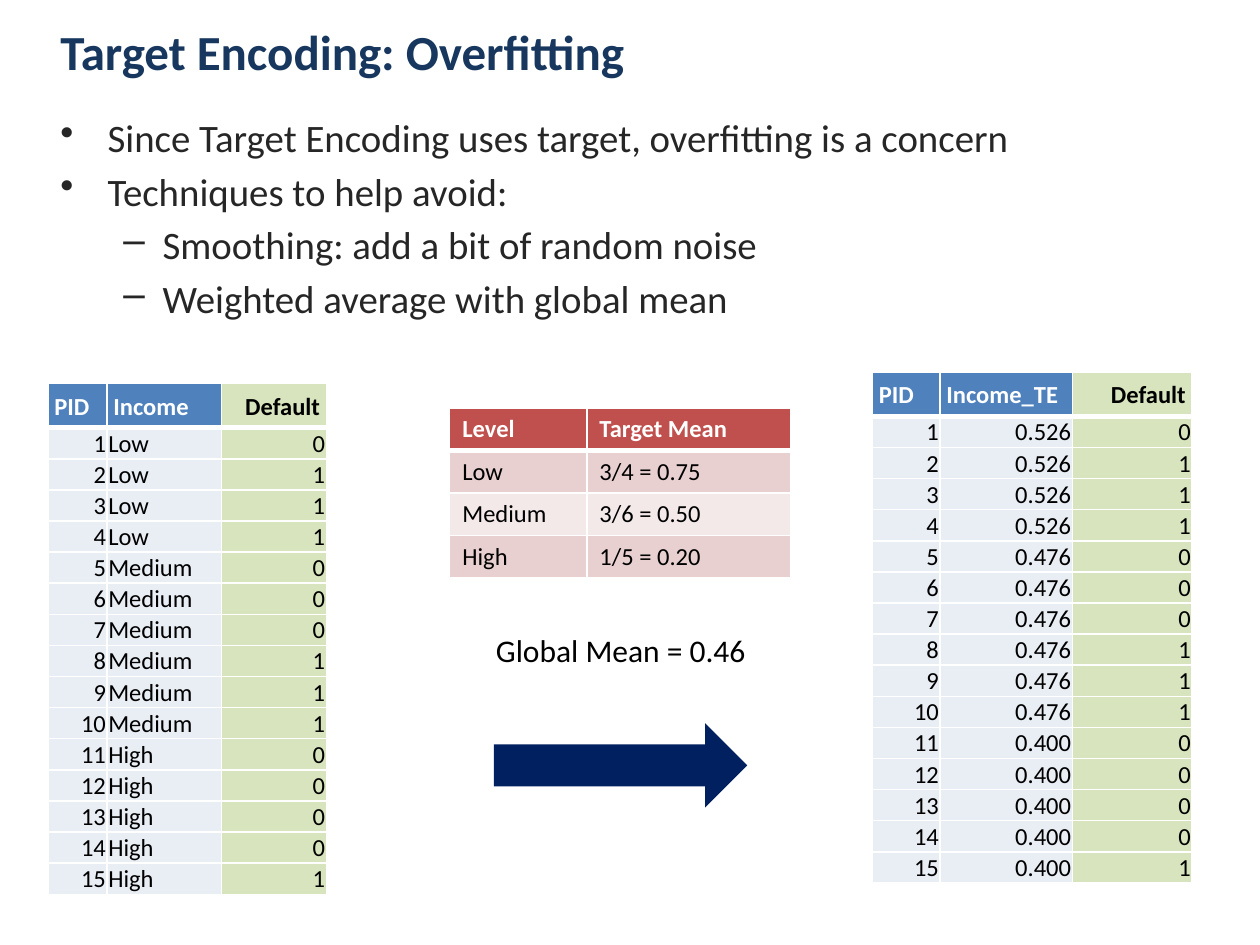
from lxml.etree import SubElement
from pptx import Presentation
from pptx.dml.color import RGBColor
from pptx.enum.shapes import MSO_SHAPE
from pptx.enum.text import MSO_ANCHOR, PP_ALIGN
from pptx.oxml import parse_xml
from pptx.oxml.ns import nsdecls, qn
from pptx.util import Pt

THEME = {
    "font": "Calibri",
    "title": "17375E", "body": "262626", "white": "FFFFFF", "black": "000000",
    "blue": "4F81BD", "pale_blue": "E9EDF4", "green": "D7E4BD",
    "red": "C0504D", "pale_red": "E8D0D0", "paler_red": "F4E9E9", "arrow": "002060",
    "title_size": 28, "body_size": 22.2, "note_size": 18, "table_size": 14,
}
LEFT, RIGHT = PP_ALIGN.LEFT, PP_ALIGN.RIGHT


def write(paragraph, text, size, color, bold=False, **formats):
    """Put one formatted run of text in a paragraph."""
    for name, value in formats.items():
        setattr(paragraph, name, value)
    run = paragraph.add_run()
    run.text = text
    font_formats = {"name": THEME["font"], "size": Pt(THEME[size]), "bold": bold}
    for name, value in font_formats.items():
        setattr(run.font, name, value)
    run.font.color.rgb = RGBColor.from_string(THEME[color])


def add_grid(slide, left, top, widths, heights, rows, style):
    """Add a table; style(row, column) gives fill, text colour, margins and paragraph formats."""
    frame = slide.shapes.add_table(len(rows), len(widths), Pt(left), Pt(top),
                                   Pt(sum(widths)), Pt(sum(heights)))
    table = frame.table
    table.horz_banding = False
    for column, width in zip(table.columns, widths):
        column.width = Pt(width)
    for row_number, (values, height) in enumerate(zip(rows, heights)):
        table.rows[row_number].height = Pt(height)
        for column_number, value in enumerate(values):
            cell = table.cell(row_number, column_number)
            fill, color, margins, formats = style(row_number, column_number)
            cell.fill.solid()
            cell.fill.fore_color.rgb = RGBColor.from_string(THEME[fill])
            cell.vertical_anchor = MSO_ANCHOR.MIDDLE
            for side, margin in zip(("left", "top", "right", "bottom"), margins):
                setattr(cell, f"margin_{side}", Pt(margin))
            write(cell.text_frame.paragraphs[0], str(value), "table_size", color,
                  bold=row_number == 0, **formats)
            # White borders, with a thick rule under the header
            for index, side in enumerate("LRTB"):
                thick = (row_number, side) in ((0, "B"), (1, "T"))
                border = parse_xml(
                    f'<a:ln{side} {nsdecls("a")} w="{Pt(3 if thick else 1)}"><a:solidFill>'
                    f'<a:srgbClr val="{THEME["white"]}"/></a:solidFill></a:ln{side}>')
                cell._tc.get_or_add_tcPr().insert(index, border)


presentation = Presentation()
presentation.slide_width, presentation.slide_height = Pt(720), Pt(540)
slide = presentation.slides.add_slide(presentation.slide_layouts[6])

# Title
title = slide.shapes.add_textbox(Pt(27.4), Pt(3.6), Pt(590), Pt(51)).text_frame
title.word_wrap = True
title.vertical_anchor = MSO_ANCHOR.MIDDLE
write(title.paragraphs[0], "Target Encoding: Overfitting", "title_size", "title", bold=True)

# Bullets
body = slide.shapes.add_textbox(Pt(27.4), Pt(61.5), Pt(665), Pt(117)).text_frame
body.word_wrap = True
bullets = [
    (0, "Since Target Encoding uses target, overfitting is a concern"),
    (0, "Techniques to help avoid:"),
    (1, "Smoothing: add a bit of random noise"),
    (1, "Weighted average with global mean"),
]
bullet_styles = [("•", 27, -27), ("–", 58.5, -22.5)]
for number, (level, text) in enumerate(bullets):
    paragraph = body.add_paragraph() if number else body.paragraphs[0]
    mark, margin, indent = bullet_styles[level]
    properties = paragraph._p.get_or_add_pPr()
    properties.set("marL", str(Pt(margin)))
    properties.set("indent", str(Pt(indent)))
    SubElement(properties, qn("a:buChar")).set("char", mark)
    write(paragraph, text, "body_size", "body", level=level,
          space_before=Pt(4 if number else 0))

# Data tables before and after encoding
levels = ["Low"] * 4 + ["Medium"] * 6 + ["High"] * 5
encoded = {"Low": "0.526", "Medium": "0.476", "High": "0.400"}
defaults = [0, 1, 1, 1, 0, 0, 0, 1, 1, 1, 0, 0, 0, 0, 1]
data_tables = [
    (27.4, 219.2, [33.8, 65.5, 59.8], "Income", levels, LEFT),
    (498.6, 212.7, [38.6, 75.6, 68.4], "Income_TE", [encoded[level] for level in levels], RIGHT),
]
for left, top, widths, heading, values, value_alignment in data_tables:
    def data_style(row, column):
        is_target = column == 2
        if row == 0:
            formats = {"alignment": RIGHT if is_target else LEFT,
                       "line_spacing": 1.07, "space_after": Pt(8)}
            return ("green" if is_target else "blue", "black" if is_target else "white",
                    (3.6,) * 4, formats)
        return ("green" if is_target else "pale_blue", "black", (0.7, 0.7, 0.7, 0),
                {"alignment": value_alignment if column == 1 else RIGHT})

    rows = [("PID", heading, "Default"), *zip(range(1, 16), values, defaults)]
    add_grid(slide, left, top, widths, [24.5] + [17.8] * 15, rows, data_style)

# Arrow from raw to encoded data
arrow = slide.shapes.add_shape(MSO_SHAPE.RIGHT_ARROW, Pt(282.2), Pt(413.3), Pt(144.8), Pt(48.2))
arrow.shadow.inherit = False
arrow.fill.solid()
arrow.fill.fore_color.rgb = RGBColor.from_string(THEME["arrow"])
arrow.line.fill.background()


# Target mean of each level
def mean_style(row, column):
    fill = "red" if row == 0 else "pale_red" if row % 2 else "paler_red"
    return fill, "black" if row else "white", (7.2, 3.6, 7.2, 3.6), {}


mean_rows = [("Level", "Target Mean"), ("Low", "3/4 = 0.75"),
             ("Medium", "3/6 = 0.50"), ("High", "1/5 = 0.20")]
add_grid(slide, 257, 233.2, [78.4, 116.6], [24.3] * 4, mean_rows, mean_style)

# Global mean
note = slide.shapes.add_textbox(Pt(276.3), Pt(357.3), Pt(159), Pt(29)).text_frame
note.word_wrap = False
write(note.paragraphs[0], "Global Mean = 0.46", "note_size", "black")

presentation.save("out.pptx")
